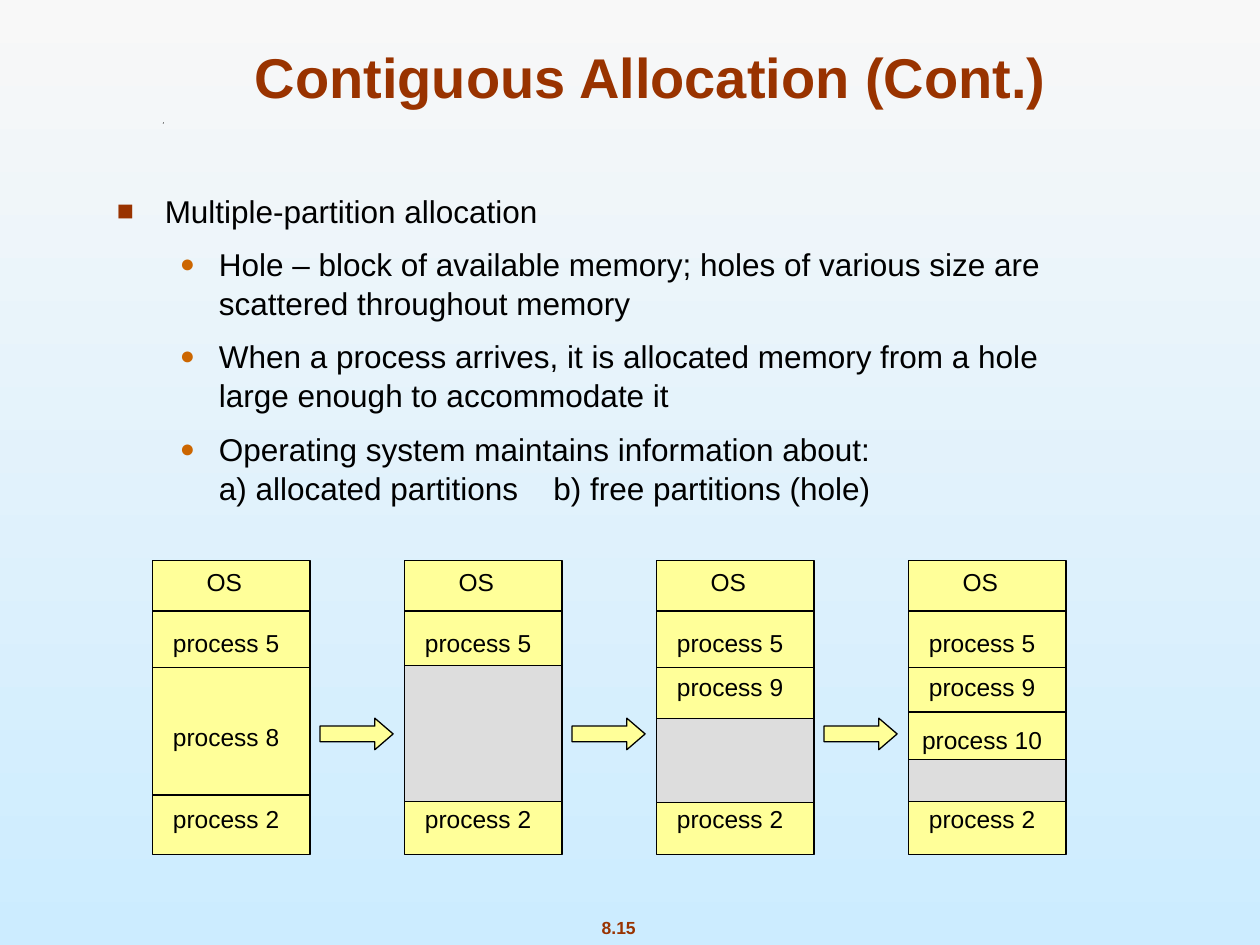
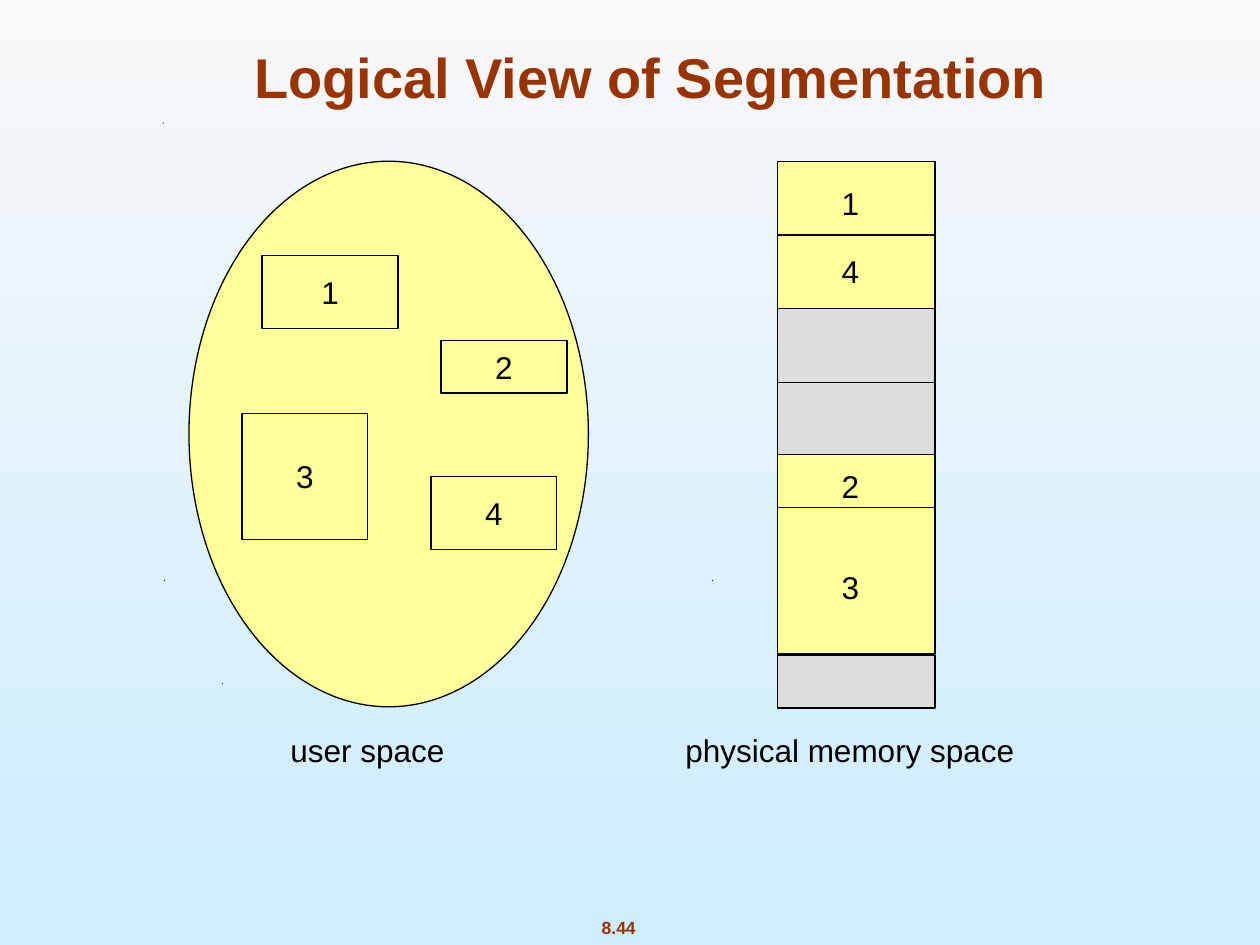
from dataclasses import dataclass

from lxml import etree
from pptx import Presentation
from pptx.dml.color import RGBColor
from pptx.enum.shapes import MSO_CONNECTOR, MSO_SHAPE
from pptx.enum.text import MSO_ANCHOR, PP_ALIGN
from pptx.oxml.ns import qn
from pptx.util import Inches, Pt

RECTANGLE, OVAL, RIGHT_ARROW = MSO_SHAPE.RECTANGLE, MSO_SHAPE.OVAL, MSO_SHAPE.RIGHT_ARROW
STRAIGHT = MSO_CONNECTOR.STRAIGHT
TOP, MIDDLE, BOTTOM = MSO_ANCHOR.TOP, MSO_ANCHOR.MIDDLE, MSO_ANCHOR.BOTTOM
CENTER, LEFT = PP_ALIGN.CENTER, PP_ALIGN.LEFT

FONT = "Arial"
BLACK = RGBColor(0x00, 0x00, 0x00)
RUST = RGBColor(0x99, 0x33, 0x00)
ORANGE = RGBColor(0xCC, 0x66, 0x00)
YELLOW = RGBColor(0xFF, 0xFF, 0x99)
GRAY = RGBColor(0xDD, 0xDD, 0xDD)
SKY_TOP = RGBColor(0xF8, 0xF8, 0xF8)
SKY_BOTTOM = RGBColor(0xCC, 0xEC, 0xFF)
LINE_WIDTH = Pt(0.75)


@dataclass(frozen=True)
class Box:
    """Left, top, width and height in inches."""
    left: float
    top: float
    width: float
    height: float

    def lengths(self):
        return [Inches(side) for side in (self.left, self.top, self.width, self.height)]


@dataclass(frozen=True)
class TextStyle:
    size: float
    color: RGBColor = BLACK
    bold: bool = False
    align: int = CENTER
    anchor: int = MIDDLE
    wrap: bool = False


@dataclass(frozen=True)
class BulletStyle:
    character: str
    color: RGBColor
    percent: int
    margin: float
    indent: float


@dataclass(frozen=True)
class MemoryColumn:
    processes: tuple[str, ...]
    dividers: tuple[float, ...]
    hole: tuple[float, float] | None = None  # top and height


TITLE = TextStyle(32, RUST, True, anchor=BOTTOM, wrap=True)
FOOTER = TextStyle(10, RUST, True, anchor=TOP)
BODY = TextStyle(18, align=LEFT, anchor=TOP, wrap=True)
LABEL = TextStyle(14)
LARGE_LABEL = TextStyle(18)

SQUARE_BULLET = BulletStyle("■", RUST, 90, 0.38, -0.38)
ROUND_BULLET = BulletStyle("●", ORANGE, 80, 0.81, -0.31)

# Memory columns of the allocation slide
COLUMN_LEFT, COLUMN_PITCH = 1.21, 2.0
COLUMN_TOP, COLUMN_WIDTH, COLUMN_HEIGHT = 4.45, 1.25, 2.33
PROCESS_TOPS = {"process 5": 4.93, "process 8": 5.68, "process 9": 5.28,
                "process 10": 5.70, "process 2": 6.33}
COLUMNS = (
    MemoryColumn(("process 5", "process 8", "process 2"), (4.85, 5.3, 6.31)),
    MemoryColumn(("process 5", "process 2"), (4.85,), (5.28, 1.08)),
    MemoryColumn(("process 5", "process 9", "process 2"), (4.85, 5.3), (5.7, 0.67)),
    MemoryColumn(("process 5", "process 9", "process 10", "process 2"),
                 (4.85, 5.3, 5.65), (6.03, 0.33)),
)
BULLETS = (
    ("Multiple-partition allocation", SQUARE_BULLET),
    ("Hole – block of available memory; holes of various size are "
     "scattered throughout memory", ROUND_BULLET),
    ("When a process arrives, it is allocated memory from a hole "
     "large enough to accommodate it", ROUND_BULLET),
    ("Operating system maintains information about:\na) allocated partitions", ROUND_BULLET),
)

# Segments and memory of the segmentation slide
SEGMENTS = {"1": Box(2.08, 2.03, 1.08, 0.58), "3": Box(1.92, 3.28, 1, 1),
            "2": Box(3.5, 2.7, 1, 0.42), "4": Box(3.42, 3.78, 1, 0.58)}
MEMORY_LEFT, MEMORY_WIDTH = 6.17, 1.25
MEMORY_LABEL_TOPS = {"1": 1.41, "4": 1.95, "2": 3.66, "3": 4.46}


def style_font(font, style: TextStyle) -> None:
    font.name, font.size, font.bold = FONT, Pt(style.size), style.bold
    font.color.rgb = style.color


def write_text(shape, text: str, style: TextStyle) -> None:
    text_frame = shape.text_frame
    text_frame.text = text
    text_frame.word_wrap = style.wrap
    text_frame.vertical_anchor = style.anchor
    for paragraph in text_frame.paragraphs:
        paragraph.alignment = style.align
        for run in paragraph.runs:
            style_font(run.font, style)


def add_text(slide, box: Box, text: str, style: TextStyle):
    shape = slide.shapes.add_textbox(*box.lengths())
    write_text(shape, text, style)
    return shape


def add_block(slide, box: Box, fill: RGBColor = YELLOW, kind: int = RECTANGLE):
    shape = slide.shapes.add_shape(kind, *box.lengths())
    shape.shadow.inherit = False
    shape.fill.solid()
    shape.fill.fore_color.rgb = fill
    shape.line.color.rgb = BLACK
    shape.line.width = LINE_WIDTH
    return shape


def add_divider(slide, left: float, top: float, width: float):
    line = slide.shapes.add_connector(
        STRAIGHT, Inches(left), Inches(top), Inches(left + width), Inches(top))
    line.line.color.rgb = BLACK
    line.line.width = LINE_WIDTH
    etree.SubElement(line._element.spPr, qn("a:effectLst"))
    return line


def add_halved_block(slide, box: Box, fill: RGBColor) -> None:
    """A block cut by a line joined to the middles of its sides."""
    block = add_block(slide, box, fill)
    line = add_divider(slide, box.left, box.top + box.height / 2, box.width)
    line.begin_connect(block, 1)
    line.end_connect(block, 3)


def add_speck(slide, left: float, top: float) -> None:
    right, bottom = Inches(left + 0.01), Inches(top + 0.01)
    builder = slide.shapes.build_freeform(Inches(left), bottom)
    builder.add_line_segments([(right, Inches(top)), (right, bottom)], close=True)
    speck = builder.convert_to_shape()
    speck.shadow.inherit = False
    speck.fill.solid()
    speck.fill.fore_color.rgb = BLACK
    speck.line.fill.background()


def add_bullet(paragraph, bullet: BulletStyle) -> None:
    properties = paragraph._p.get_or_add_pPr()
    properties.set("marL", str(Inches(bullet.margin)))
    properties.set("indent", str(Inches(bullet.indent)))
    color = etree.SubElement(properties, qn("a:buClr"))
    etree.SubElement(color, qn("a:srgbClr"), val=str(bullet.color))
    etree.SubElement(properties, qn("a:buSzPct"), val=str(bullet.percent * 1000))
    etree.SubElement(properties, qn("a:buFont"), typeface=FONT)
    etree.SubElement(properties, qn("a:buChar"), char=bullet.character)


def add_base_slide(presentation, title: str, number: str):
    """Blank slide with the shared background, footer and title."""
    slide = presentation.slides.add_slide(presentation.slide_layouts[6])
    fill = slide.background.fill
    fill.gradient()
    fill.gradient_angle = 270
    for stop, color in zip(fill.gradient_stops, (SKY_TOP, SKY_BOTTOM)):
        stop.color.rgb = color
    add_text(slide, Box(4.42, 7.23, 0.98, 0.27), number, FOOTER)
    add_speck(slide, 1.29, 0.97)
    add_text(slide, Box(0.75, 0.25, 8.83, 0.67), title, TITLE)
    return slide


def add_bullet_list(slide) -> None:
    text = add_text(slide, Box(0.83, 1.46, 8.04, 2.85), "", BODY)
    for index, (wording, bullet) in enumerate(BULLETS):
        paragraphs = text.text_frame
        paragraph = paragraphs.add_paragraph() if index else paragraphs.paragraphs[0]
        paragraph.text = wording
        add_bullet(paragraph, bullet)
        paragraph.level = 1 if bullet is ROUND_BULLET else 0
        paragraph.line_spacing = 1.04
        if index:
            paragraph.space_before = Pt(7.9)
    # The two kinds of partition stand apart by one widened space
    gap, free_partitions = paragraph.add_run(), paragraph.add_run()
    gap.text, free_partitions.text = " ", "b) free partitions (hole)"
    gap._r.get_or_add_rPr().set("spc", "1500")
    for paragraph in text.text_frame.paragraphs:
        for run in paragraph.runs:
            style_font(run.font, BODY)


def add_memory_column(slide, left: float, column: MemoryColumn) -> None:
    add_block(slide, Box(left, COLUMN_TOP, COLUMN_WIDTH, COLUMN_HEIGHT))
    for top in column.dividers:
        add_divider(slide, left, top, COLUMN_WIDTH)
    if column.hole:
        top, height = column.hole
        add_block(slide, Box(left, top, COLUMN_WIDTH, height), GRAY)
    add_text(slide, Box(left + 0.33, COLUMN_TOP, 0.48, 0.34), "OS", LABEL)
    for process in column.processes:
        add_text(slide, Box(left, PROCESS_TOPS[process], 1.17, 0.34), process, LABEL)


def build_allocation_slide(presentation) -> None:
    slide = add_base_slide(presentation, "Contiguous Allocation (Cont.)", "8.15")
    add_bullet_list(slide)
    for index, column in enumerate(COLUMNS):
        left = COLUMN_LEFT + index * COLUMN_PITCH
        add_memory_column(slide, left, column)
        if index < len(COLUMNS) - 1:
            arrow = add_block(slide, Box(left + 1.33, 5.7, 0.58, 0.25), YELLOW, RIGHT_ARROW)
            arrow.adjustments[0], arrow.adjustments[1] = 0.5, 0.58


def build_segmentation_slide(presentation) -> None:
    slide = add_base_slide(presentation, "Logical View of Segmentation", "8.44")
    for left, top in ((1.76, 5.42), (1.3, 4.6), (5.65, 4.6)):
        add_speck(slide, left, top)

    # User space
    add_block(slide, Box(1.5, 1.28, 3.17, 4.33), YELLOW, OVAL)
    for name, box in SEGMENTS.items():
        write_text(add_block(slide, box), name, LARGE_LABEL)

    # Physical memory
    add_halved_block(slide, Box(MEMORY_LEFT, 1.28, MEMORY_WIDTH, 1.17), YELLOW)
    add_halved_block(slide, Box(MEMORY_LEFT, 2.45, MEMORY_WIDTH, 1.17), GRAY)
    add_block(slide, Box(MEMORY_LEFT, 3.61, MEMORY_WIDTH, 1.58))
    add_block(slide, Box(MEMORY_LEFT, 5.2, MEMORY_WIDTH, 0.42), GRAY)
    add_divider(slide, MEMORY_LEFT, 4.03, MEMORY_WIDTH)
    for name, top in MEMORY_LABEL_TOPS.items():
        add_text(slide, Box(6.58, top, 0.34, 0.4), name, LARGE_LABEL)

    # Captions
    add_text(slide, Box(2.17, 5.75, 1.49, 0.4), "user space", LARGE_LABEL)
    add_text(slide, Box(5.34, 5.75, 2.81, 0.4), "physical memory space", LARGE_LABEL)


def main() -> None:
    presentation = Presentation()
    presentation.slide_width, presentation.slide_height = Inches(10), Inches(7.5)
    build_allocation_slide(presentation)
    build_segmentation_slide(presentation)
    presentation.save("out.pptx")


if __name__ == "__main__":
    main()
